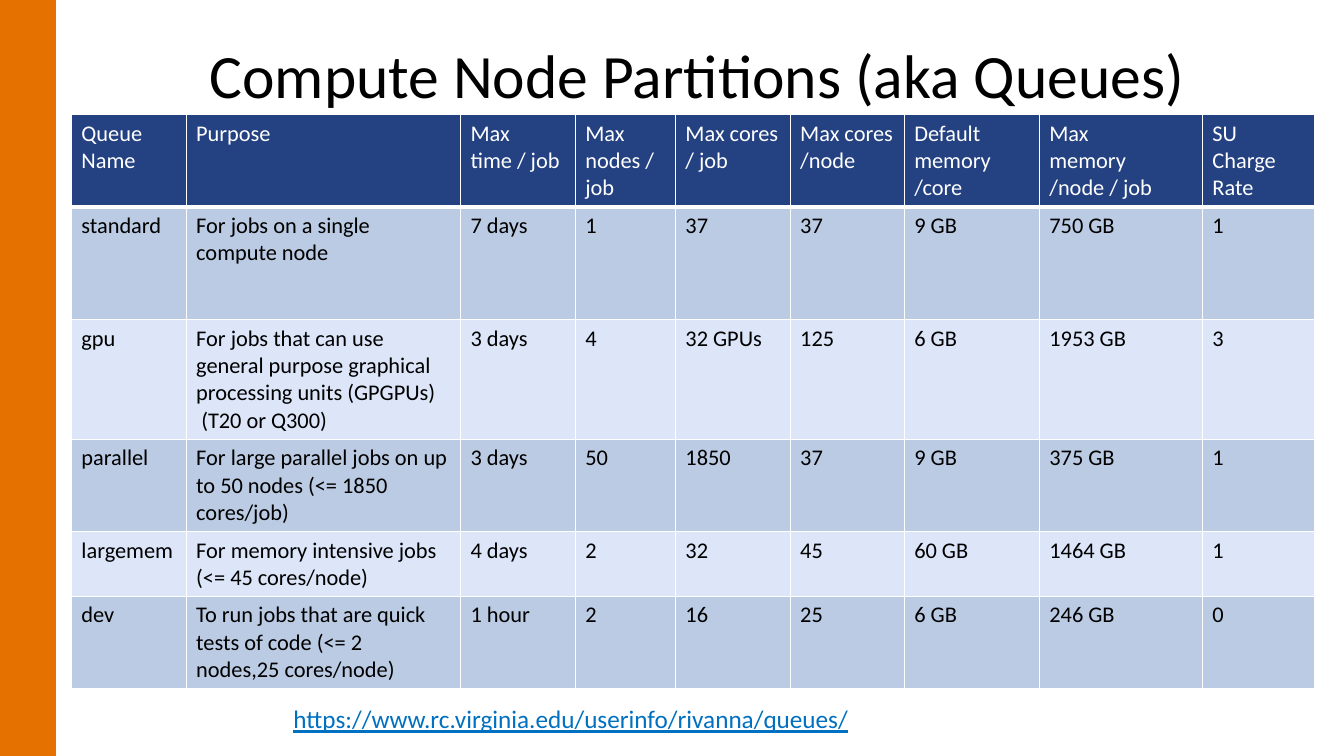
from lxml.etree import SubElement
from pptx import Presentation
from pptx.dml.color import RGBColor
from pptx.enum.shapes import MSO_SHAPE as Shape
from pptx.enum.text import MSO_ANCHOR as Anchor, MSO_AUTO_SIZE as AutoSize, PP_ALIGN as Align
from pptx.oxml.ns import qn
from pptx.util import Pt

WHITE, BLACK, ORANGE, LINK_BLUE = "FFFFFF", "000000", "E47100", "0070C0"
HEADER_FILL, BAND_FILLS = "244182", ("BBCBE3", "DCE6F8")
COLUMN_WIDTHS = (82, 196, 82, 71.5, 82, 81.5, 96.5, 116.5, 80)
ROW_HEIGHTS = (62, 80.5, 80.5, 62, 44, 44)
QUEUES = (
    ("Queue Name", "Purpose", "Max time / job", "Max nodes / job", "Max cores / job",
     "Max cores /node", "Default memory /core", "Max memory /node / job", "SU Charge Rate"),
    ("standard", "For jobs on a single compute node",
     "7 days", "1", "37", "37", "9 GB", "750 GB", "1"),
    ("gpu", "For jobs that can use general purpose graphical processing units (GPGPUs)\n(T20 or Q300)",
     "3 days", "4", "32 GPUs", "125", "6 GB", "1953 GB", "3"),
    ("parallel", "For large parallel jobs on up to 50 nodes (<= 1850 cores/job)",
     "3 days", "50", "1850", "37", "9 GB", "375 GB", "1"),
    ("largemem", "For memory intensive jobs (<= 45 cores/node)",
     "4 days", "2", "32", "45", "60 GB", "1464 GB", "1"),
    ("dev", "To run jobs that are quick tests of code (<= 2 nodes,25 cores/node)",
     "1 hour", "2", "16", "25", "6 GB", "246 GB", "0"),
)


def color(value):
    return RGBColor.from_string(value)


def apply(target, values):
    for name, value in values.items():
        setattr(target, name, value)


def write(text_frame, text, size, font_color, **font_values):
    text_frame.text = text
    for paragraph in text_frame.paragraphs:
        paragraph.alignment = Align.LEFT
        for run in paragraph.runs:
            apply(run.font, {"name": "Calibri", "size": Pt(size), "bold": False, **font_values})
            run.font.color.rgb = color(font_color)


def add_side_bar(slide):
    shape = slide.shapes.add_shape(Shape.RECTANGLE, 0, 0, Pt(40), Pt(540))
    shape.shadow.inherit = False
    shape.fill.solid()
    shape.fill.fore_color.rgb = color(ORANGE)
    shape.line.fill.background()


def set_title(slide, text):
    title = slide.shapes.title
    apply(title, {"left": Pt(142.5), "top": Pt(29), "width": Pt(756), "height": Pt(104)})
    write(title.text_frame, text, 44, BLACK)
    apply(title.text_frame, {"vertical_anchor": Anchor.TOP, "auto_size": AutoSize.NONE, "word_wrap": True})
    title.text_frame.paragraphs[0].line_spacing = 0.9


def set_borders(cell, bottom_width):
    properties = cell._tc.get_or_add_tcPr()
    widths = {"a:lnL": 1, "a:lnR": 1, "a:lnT": 1, "a:lnB": bottom_width}
    for position, (tag, width) in enumerate(widths.items()):
        line = SubElement(properties, qn(tag), w=str(Pt(width)))
        fill = SubElement(line, qn("a:solidFill"))
        SubElement(fill, qn("a:srgbClr"), val=WHITE)
        properties.insert(position, line)


def add_queue_table(slide):
    frame = slide.shapes.add_table(len(QUEUES), len(COLUMN_WIDTHS), Pt(51), Pt(82),
                                   Pt(sum(COLUMN_WIDTHS)), Pt(sum(ROW_HEIGHTS)))
    table = frame.table
    for column, width in zip(table.columns, COLUMN_WIDTHS):
        column.width = Pt(width)
    for index, (row, height, texts) in enumerate(zip(table.rows, ROW_HEIGHTS, QUEUES)):
        row.height = Pt(height)
        is_header = index == 0
        for cell, text in zip(row.cells, texts):
            write(cell.text_frame, text, 16, WHITE if is_header else BLACK)
            cell.fill.solid()
            cell.fill.fore_color.rgb = color(HEADER_FILL if is_header else BAND_FILLS[(index - 1) % 2])
            set_borders(cell, 3 if is_header else 1)
            for paragraph in cell.text_frame.paragraphs[1:]:
                paragraph._p.get_or_add_pPr().set("marL", str(Pt(3.6)))


def add_address(slide, text):
    box = slide.shapes.add_textbox(Pt(202.5), Pt(499), Pt(480), Pt(29))
    box.text_frame.word_wrap = True
    write(box.text_frame, text, 18, LINK_BLUE, underline=True)


def main():
    presentation = Presentation()
    apply(presentation, {"slide_width": Pt(960), "slide_height": Pt(540)})
    slide = presentation.slides.add_slide(presentation.slide_layouts[5])
    add_side_bar(slide)
    set_title(slide, "Compute Node Partitions (aka Queues)")
    add_queue_table(slide)
    add_address(slide, "https://www.rc.virginia.edu/userinfo/rivanna/queues/")
    presentation.save("out.pptx")


if __name__ == "__main__":
    main()
